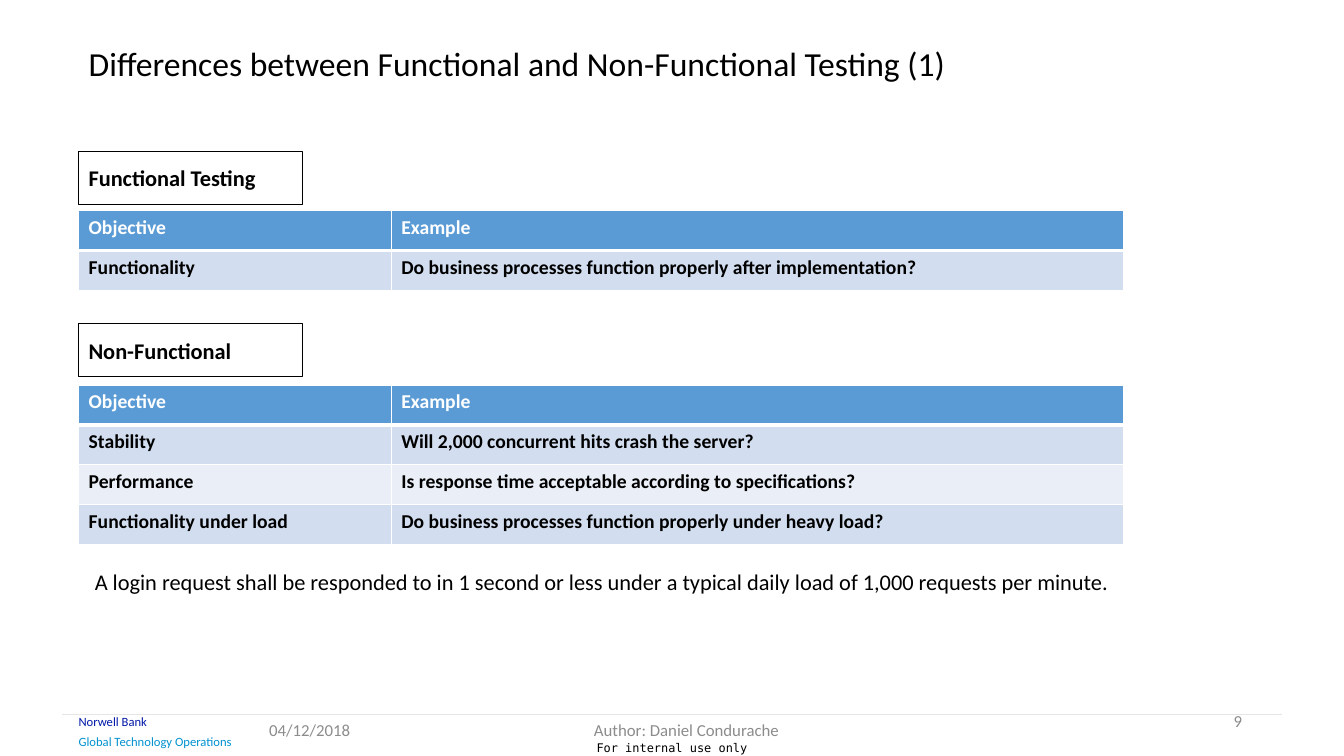
from dataclasses import dataclass
from lxml import etree
from pptx import Presentation, util as u
from pptx.dml.color import RGBColor
from pptx.enum import shapes, text
from pptx.oxml.ns import qn

TITLE = "Differences between Functional and Non-Functional Testing (1)"
HEAD = ("Objective", "Example")
PARTS = [
    ("Functional Testing", 20, 27.87, [
        ("Functionality", "Do business processes function properly after implementation?"),
    ]),
    ("Non-Functional", 42.8, 50.93, [
        ("Stability", "Will 2,000 concurrent hits crash the server?"),
        ("Performance", "Is response time acceptable according to specifications?"),
        ("Functionality under load", "Do business processes function properly under heavy load?"),
    ]),
]
NOTE = "A login request shall be responded to in 1 second or less under a typical daily load of 1,000 requests per minute."


@dataclass(frozen=True)
class Theme:
    font: str = "Calibri"
    mono: str = "DejaVu Sans Mono"
    ink: str = "000000"
    paper: str = "FFFFFF"
    head: str = "5B9BD5"
    bands: tuple = ("D2DEEF", "EAEFF7")
    rule: str = "E7E6E6"
    gray: str = "8C8C8C"
    navy: str = "0018A8"
    cyan: str = "0092D0"
    title: float = 24
    label: float = 16
    cell: float = 14
    foot: float = 12
    brand: float = 9
    tiny: float = 8.5


T = Theme()
A = text.PP_ALIGN
LEFT, WIDE = 5.85, 77.72
COLS = (23.26, 54.46)
ROW, BOX = 5.27, (16.65, 7.07)
INSET = 0.1
FOOT = [
    ("Norwell Bank", LEFT, 95.4, 13, A.LEFT, T.brand, T.navy, T.font),
    ("Global Technology Operations", LEFT, 98.1, 14, A.LEFT, T.brand, T.cyan, T.font),
    ("04/12/2018", 20.03, 96.5, 9.68, A.LEFT, T.foot, T.gray, T.font),
    ("Author: Daniel Condurache", 34.2, 96.5, 33.76, A.CENTER, T.foot, T.gray, T.font),
    ("For internal use only", 0, 98.87, 100, A.CENTER, T.tiny, T.ink, T.mono),
    ("9", 70.67, 95.33, 21.75, A.RIGHT, T.foot, T.gray, T.font),
]

deck = Presentation()
deck.slide_width, deck.slide_height = u.Inches(13.33), u.Inches(7.5)
slide = deck.slides.add_slide(deck.slide_layouts[5])


def x(share):
    return round(deck.slide_width * share / 100)


def y(share):
    return round(deck.slide_height * share / 100)


def area(left, top, wide, high):
    return x(left), y(top), x(wide), y(high)


def write(frame, words, size, tint=T.ink, bold=False, side=A.LEFT, face=T.font):
    frame.text = words
    para = frame.paragraphs[0]
    para.alignment = side
    font = para.font
    font.name, font.size, font.bold = face, u.Pt(size), bold
    font.color.rgb = RGBColor.from_string(tint)
    return para


def fit(frame, left=0, right=0):
    frame.word_wrap = True
    frame.vertical_anchor = text.MSO_ANCHOR.MIDDLE
    frame.margin_left, frame.margin_right = u.Inches(left), u.Inches(right)
    frame.margin_top = frame.margin_bottom = 0


def edge(cell, low):
    props = cell._tc.get_or_add_tcPr()
    widths = {"lnL": 1, "lnR": 1, "lnT": 1, "lnB": low}
    for spot, (tag, wide) in enumerate(widths.items()):
        line = etree.Element(qn("a:" + tag), w=str(u.Pt(wide)))
        fill = etree.SubElement(line, qn("a:solidFill"))
        etree.SubElement(fill, qn("a:srgbClr"), val=T.paper)
        props.insert(spot, line)


def label(words, top):
    box = slide.shapes.add_shape(shapes.MSO_SHAPE.RECTANGLE, *area(LEFT, top, *BOX))
    box.shadow.inherit = False
    box.fill.background()
    box.line.color.rgb = RGBColor.from_string(T.ink)
    box.line.width = u.Pt(0.75)
    fit(box.text_frame, INSET)
    write(box.text_frame, words, T.label, bold=True)


def table(top, body):
    rows = [HEAD] + body
    grid = slide.shapes.add_table(
        len(rows), len(HEAD), *area(LEFT, top, WIDE, ROW * len(rows))).table
    for col, share in zip(grid.columns, COLS):
        col.width = x(share)
    for r, row in enumerate(rows):
        grid.rows[r].height = y(ROW)
        for c, words in enumerate(row):
            cell = grid.cell(r, c)
            cell.fill.solid()
            cell.fill.fore_color.rgb = RGBColor.from_string(T.bands[(r - 1) % 2] if r else T.head)
            edge(cell, 1 if r else 3)
            write(cell.text_frame, words, T.cell, T.ink if r else T.paper, True)


title = slide.shapes.title
title.left, title.top, title.width, title.height = area(LEFT, 5.6, 69.39, 7.87)
title.text_frame.auto_size = text.MSO_AUTO_SIZE.NONE
title.text_frame.vertical_anchor = text.MSO_ANCHOR.TOP
write(title.text_frame, TITLE, T.title).line_spacing = 0.9

for name, top, base, body in PARTS:
    label(name, top)
    table(base, body)

note = slide.shapes.add_textbox(*area(LEFT, 74.2, WIDE, 5.33)).text_frame
fit(note, 0.16)
write(note, NOTE, T.label)

rule = slide.shapes.add_connector(
    shapes.MSO_CONNECTOR.STRAIGHT, x(4.58), y(94.53), x(95.42), y(94.53))
rule.line.color.rgb = RGBColor.from_string(T.rule)
rule.line.width = u.Pt(0.75)
etree.SubElement(rule._element.spPr, qn("a:effectLst"))

for words, left, mid, wide, side, size, tint, face in FOOT:
    foot = slide.shapes.add_textbox(*area(left, mid - 1.2, wide, 2.4)).text_frame
    fit(foot)
    write(foot, words, size, tint, side=side, face=face)

deck.save("out.pptx")
